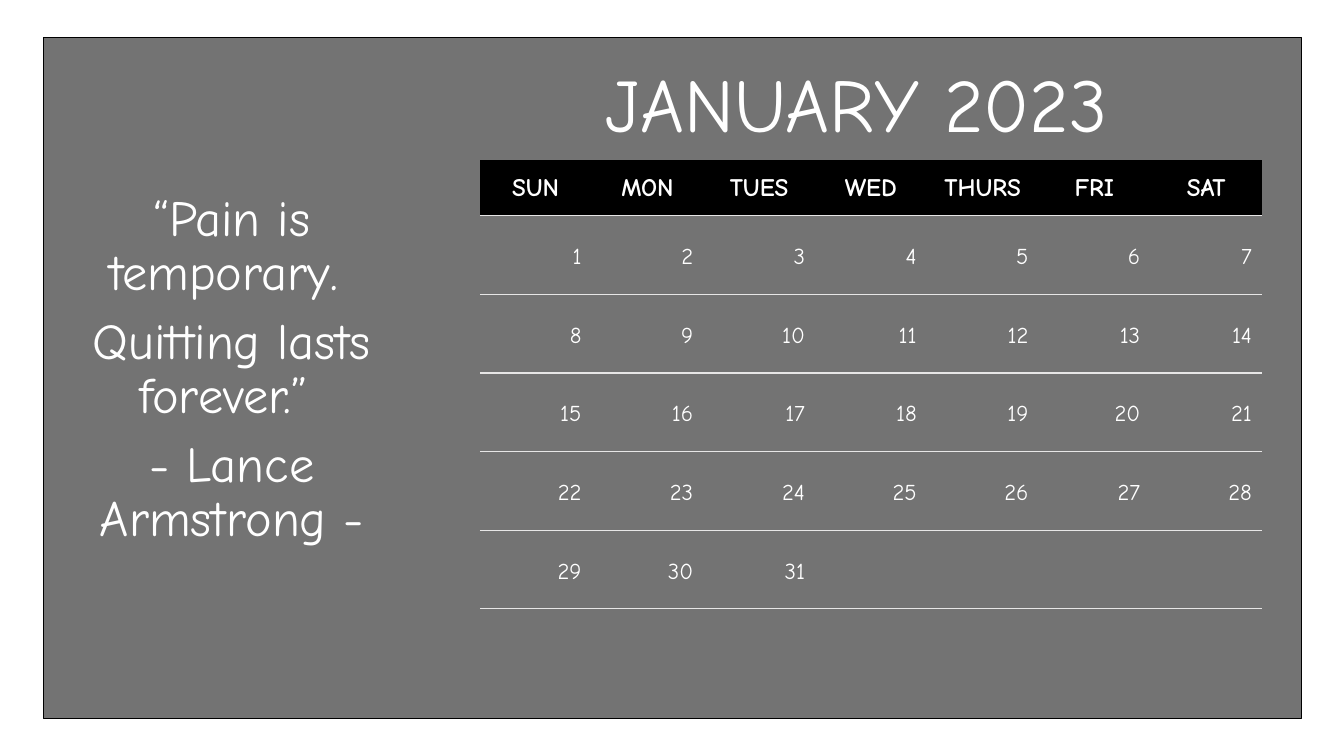
import typing

import lxml.etree
import pptx
import pptx.dml.color
import pptx.enum.shapes
import pptx.enum.text
import pptx.oxml.ns
import pptx.util

COLORS = {"ink": "000000", "text": "FFFFFF", "rule": "E7E6E6"}
FACE = "Comic Neue"
WIDE, HIGH = pptx.util.Inches(13.33), pptx.util.Inches(7.5)
COL, ROW = WIDE / 100, HIGH / 100
DAYS = ["SUN", "MON", "TUES", "WED", "THURS", "FRI", "SAT"]
WEEKS, LAST = 5, 31
HEAD, WEEK = 7.33, 10.4
ALIGN = pptx.enum.text.PP_ALIGN
MIDDLE = pptx.enum.text.MSO_ANCHOR.MIDDLE


class Box(typing.NamedTuple):
    left: float
    top: float
    width: float
    height: float

    def place(self) -> tuple[int, int, int, int]:
        return (round(self.left * COL), round(self.top * ROW),
                round(self.width * COL), round(self.height * ROW))


class Style(typing.NamedTuple):
    size: int
    align: typing.Any
    bold: bool = False
    lift: int = 0


PANEL = Box(3.23, 4.93, 93.6, 90.13)
TITLE = Box(34.35, 7.33, 58.8, 13.87)
QUOTE = Box(3.53, 5.33, 27.45, 87.33)
MONTH = Box(35.7, 21.2, 58.2, HEAD + WEEKS * WEEK)
LINES = ["“Pain is temporary. ", "Quitting lasts forever.”\u00a0".replace("\u00a0", " "),
         "- Lance Armstrong -"]


def color(name: str) -> pptx.dml.color.RGBColor:
    return pptx.dml.color.RGBColor.from_string(COLORS[name])


def write(frame: typing.Any, lines: list[str], style: Style) -> None:
    for index, line in enumerate(lines):
        para = frame.add_paragraph() if index else frame.paragraphs[0]
        run = para.add_run()
        run.text = line
        para.alignment = style.align
        para.font.name = FACE
        para.font.size = pptx.util.Pt(style.size)
        para.font.bold = style.bold
        para.font.color.rgb = color("text")
        if style.lift:
            run._r.get_or_add_rPr().set("baseline", str(style.lift * 1000))


def space(frame: typing.Any, before: int) -> None:
    frame.word_wrap = True
    frame.vertical_anchor = MIDDLE
    for index, para in enumerate(frame.paragraphs):
        para.line_spacing = 0.9
        para.space_before = pptx.util.Pt(before if index else 0)


def child(node: typing.Any, tag: str, **attrs: str) -> typing.Any:
    return lxml.etree.SubElement(node, pptx.oxml.ns.qn(tag), **attrs)


def border(cell: typing.Any, sides: str) -> None:
    props = cell._tc.get_or_add_tcPr()
    for side in "LRTB":
        line = child(props, f"a:ln{side}", w=str(pptx.util.Pt(1)))
        if side in sides:
            child(child(line, "a:solidFill"), "a:srgbClr", val=COLORS["rule"])
        else:
            child(line, "a:noFill")


def draw_panel(slide: typing.Any) -> None:
    kind = pptx.enum.shapes.MSO_SHAPE.RECTANGLE
    panel = slide.shapes.add_shape(kind, *PANEL.place())
    panel.shadow.inherit = False
    panel.fill.solid()
    panel.fill.fore_color.rgb = color("ink")
    tint = panel.element.spPr.find(".//" + pptx.oxml.ns.qn("a:srgbClr"))
    child(tint, "a:alpha", val="55000")
    panel.line.color.rgb = color("ink")
    panel.line.width = pptx.util.Pt(1)
    slide.shapes.title.element.addprevious(panel.element)


def draw_title(slide: typing.Any) -> None:
    title = slide.shapes.title
    title.left, title.top, title.width, title.height = TITLE.place()
    write(title.text_frame, ["JANUARY 2023"], Style(54, ALIGN.CENTER))
    space(title.text_frame, 0)


def draw_quote(slide: typing.Any) -> None:
    frame = slide.shapes.add_textbox(*QUOTE.place()).text_frame
    write(frame, LINES, Style(36, ALIGN.CENTER))
    space(frame, 10)


def draw_month(slide: typing.Any) -> None:
    table = slide.shapes.add_table(WEEKS + 1, len(DAYS), *MONTH.place()).table
    table.first_row = table.horz_banding = False
    for index, row in enumerate(table.rows):
        row.height = round((WEEK if index else HEAD) * ROW)
        for place, cell in enumerate(row.cells):
            cell.vertical_anchor = MIDDLE
            border(cell, "TB" if index else "B")
            if index:
                cell.fill.background()
                day = (index - 1) * len(DAYS) + place + 1
                if day <= LAST:
                    write(cell.text_frame, [str(day)], Style(28, ALIGN.RIGHT, lift=8))
            else:
                cell.fill.solid()
                cell.fill.fore_color.rgb = color("ink")
                write(cell.text_frame, [DAYS[place]], Style(18, ALIGN.CENTER, True))


def main() -> None:
    deck = pptx.Presentation()
    deck.slide_width, deck.slide_height = WIDE, HIGH
    slide = deck.slides.add_slide(deck.slide_layouts[5])
    draw_panel(slide)
    draw_title(slide)
    draw_quote(slide)
    draw_month(slide)
    deck.save("out.pptx")


if __name__ == "__main__":
    main()
